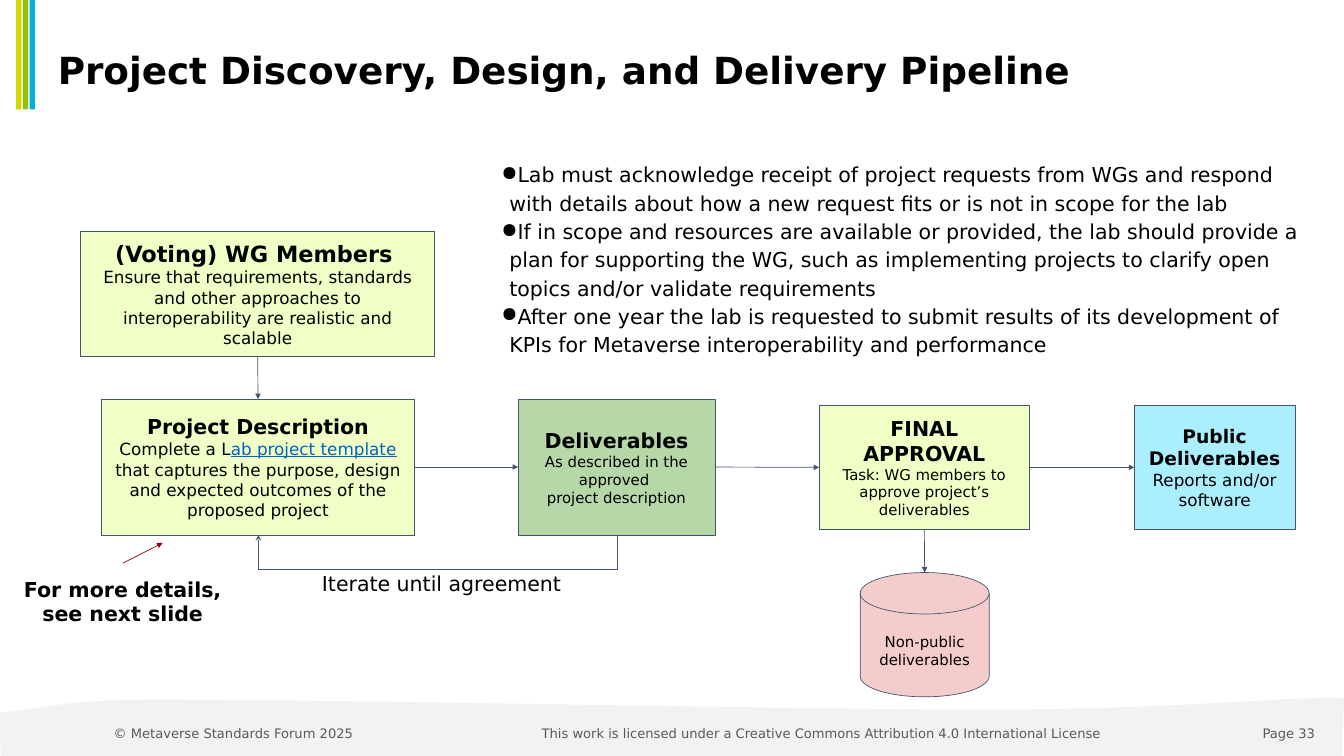
"""Build the project discovery, design and delivery pipeline slide."""
from lxml.etree import SubElement
from pptx import Presentation
from pptx.dml.color import RGBColor
from pptx.enum.shapes import MSO_CONNECTOR as Connector, MSO_SHAPE as Shape
from pptx.enum.text import MSO_ANCHOR as Anchor, PP_ALIGN as Align
from pptx.oxml.ns import qn
from pptx.util import Inches, Pt

FONT = "DejaVu Sans"
BLACK = RGBColor(0x00, 0x00, 0x00)
GRAY = RGBColor(0x59, 0x59, 0x59)
PALE_GRAY = RGBColor(0xF2, 0xF2, 0xF2)
SLATE = RGBColor(0x44, 0x54, 0x6A)
LIME = RGBColor(0xF0, 0xFF, 0xC5)
GREEN = RGBColor(0xB6, 0xD7, 0xA8)
PINK = RGBColor(0xF4, 0xCC, 0xCC)
CYAN = RGBColor(0xAB, 0xEF, 0xFF)
LINK_BLUE = RGBColor(0x05, 0x63, 0xC1)
DARK_RED = RGBColor(0x99, 0x00, 0x00)
STRIPES = [RGBColor(0xD4, 0xD8, 0x00), RGBColor(0x91, 0xC3, 0x01), RGBColor(0x00, 0xB1, 0xDA)]

WAVE_START = (-0.01, 10.61)
WAVE_CURVES = [
    ((1.03, 10.48), (0.72, 10.48), (1.66, 10.42)),
    ((2.59, 10.36), (11.65, 10.56), (14.71, 10.56)),
    ((17.77, 10.55), (19.01, 10.36), (20, 10.39)),
]
WAVE_BASE = [(19.97, 11.25), (0.01, 11.25)]

PLAIN_TEXTS = [
    ((1.54, 10.72, 5.29, 0.39), (0.15, 0.07), Anchor.MIDDLE, Align.LEFT,
     "© Metaverse Standards Forum 2025", {"size": Pt(14), "color": GRAY}),
    ((7.01, 10.72, 10.43, 0.39), (0.15, 0.07), Anchor.MIDDLE, Align.CENTER,
     "This work is licensed under a Creative Commons Attribution 4.0 International License",
     {"size": Pt(14), "color": GRAY}),
    ((18.07, 10.7, 1.7, 0.44), (0.2, 0.1), Anchor.TOP, Align.RIGHT,
     "Page 33", {"size": Pt(14), "color": GRAY}),
    ((0.66, 0.63, 18.3, 0.81), (0.2, 0.1), Anchor.MIDDLE, Align.LEFT,
     "Project Discovery, Design, and Delivery Pipeline", {"size": Pt(40), "bold": True}),
    ((0, 8.38, 3.65, 1.14), (0.2, 0.2), Anchor.TOP, Align.CENTER,
     "For more details, see next slide", {"size": Pt(22), "bold": True}),
    ((4.24, 8.31, 4.66, 0.77), (0.2, 0.2), Anchor.TOP, Align.CENTER,
     "Iterate until agreement", {"size": Pt(22)}),
]
BULLETS = [
    "Lab must acknowledge receipt of project requests from WGs and respond with details about "
    "how a new request fits or is not in scope for the lab",
    "If in scope and resources are available or provided, the lab should provide a plan for "
    "supporting the WG, such as implementing projects to clarify open topics and/or validate "
    "requirements",
    "After one year the lab is requested to submit results of its development of KPIs for "
    "Metaverse interoperability and performance",
]
LINK = {"color": LINK_BLUE, "underline": True}
STEPS = {
    "members": ((1.2, 3.45, 5.27, 1.85), LIME, "(Voting) WG Members ", 24, 18, [
        ("Ensure that requirements, standards and other approaches to interoperability are "
         "realistic and scalable", {})]),
    "description": ((1.51, 5.94, 4.66, 2.02), LIME, "Project Description", 22, 18, [
        ("Complete a L", {}), ("ab project template", LINK),
        (" that captures the purpose, design and expected outcomes of the proposed project", {})]),
    "deliverables": ((7.71, 5.94, 2.93, 2.02), GREEN, "Deliverables", 22, 16, [
        ("As described in the approved \vproject description", {})]),
    "approval": ((12.19, 6.03, 3.13, 1.85), LIME, "FINAL APPROVAL", 22, 16, [
        ("Task: WG members to approve project’s deliverables", {})]),
    "public": ((16.88, 6.03, 2.39, 1.85), CYAN, "Public Deliverables", 20, 18, [
        ("Reports and/or software", {})]),
}
TOP, LEFT, BOTTOM, RIGHT = range(4)
FLOWS = [
    ("members", BOTTOM, "description", TOP),
    ("description", RIGHT, "deliverables", LEFT),
    ("deliverables", RIGHT, "approval", LEFT),
    ("approval", RIGHT, "public", LEFT),
]


def add_runs(paragraph, text, **formats):
    for index, line in enumerate(text.split("\v")):
        if index:
            paragraph.add_line_break()
        run = paragraph.add_run()
        run.text = line
        values = {"name": FONT, "color": BLACK} | formats
        run.font.color.rgb = values.pop("color")
        for name, value in values.items():
            setattr(run.font, name, value)


def set_frame(shape, margins, anchor):
    side, edge = map(Inches, margins)
    values = {"margin_left": side, "margin_right": side, "margin_top": edge,
              "margin_bottom": edge, "word_wrap": True, "vertical_anchor": anchor}
    for name, value in values.items():
        setattr(shape.text_frame, name, value)
    return shape.text_frame


def add_filled(slide, kind, box, fill, outline=None):
    shape = slide.shapes.add_shape(kind, *map(Inches, box))
    style(shape, fill, outline)
    return shape


def style(shape, fill, outline=None):
    shape.shadow.inherit = False
    shape.fill.solid()
    shape.fill.fore_color.rgb = fill
    if outline is None:
        shape.line.fill.background()
    else:
        shape.line.color.rgb = outline
        shape.line.width = Pt(0.75)


def add_arrow(slide, start=(0, 0), end=(0, 0), color=SLATE, kind=Connector.STRAIGHT, head="triangle"):
    connector = slide.shapes.add_connector(kind, *map(Inches, start + end))
    connector.line.color.rgb = color
    connector.line.width = Pt(0.75)
    SubElement(connector.line._get_or_add_ln(), qn("a:tailEnd"), type=head)
    SubElement(connector._element.spPr, qn("a:effectLst"))
    return connector


def add_wave(slide, samples=24):
    points, start = [], WAVE_START
    for first, second, end in WAVE_CURVES:
        for step in range(1, samples + 1):
            t = step / samples
            weights = ((1 - t) ** 3, 3 * t * (1 - t) ** 2, 3 * t * t * (1 - t), t ** 3)
            points.append(tuple(sum(w * p[axis] for w, p in zip(weights, (start, first, second, end)))
                                for axis in (0, 1)))
        start = end
    builder = slide.shapes.build_freeform(*map(Inches, WAVE_START), scale=1.0)
    builder.add_line_segments([tuple(map(Inches, point)) for point in points + WAVE_BASE])
    style(builder.convert_to_shape(), PALE_GRAY)


def add_step(slide, box, fill, heading, heading_size, body_size, body):
    shape = add_filled(slide, Shape.RECTANGLE, box, fill, SLATE)
    frame = set_frame(shape, (0.2, 0.2), Anchor.MIDDLE)
    title, detail = frame.paragraphs[0], frame.add_paragraph()
    title.alignment = detail.alignment = Align.CENTER
    add_runs(title, heading, size=Pt(heading_size), bold=True)
    for text, formats in body:
        add_runs(detail, text, size=Pt(body_size), **formats)
    return shape


def add_bullets(slide):
    shape = slide.shapes.add_textbox(*map(Inches, (7.26, 2.16, 12.28, 3.01)))
    frame = set_frame(shape, (0.2, 0.2), Anchor.TOP)
    for index, text in enumerate(BULLETS):
        paragraph = frame.add_paragraph() if index else frame.paragraphs[0]
        paragraph.line_spacing = 1.15
        properties = paragraph._p.get_or_add_pPr()
        properties.set("marL", str(Inches(0.12)))
        properties.set("indent", str(Inches(-0.4)))
        SubElement(properties, qn("a:buChar"), char="●")
        add_runs(paragraph, text, size=Pt(22))


def add_feedback_loop(slide):
    loop = add_arrow(slide, (6.51, 5.29), (6.52, 10.63), kind=Connector.ELBOW, head="stealth")
    properties = loop._element.spPr
    properties.find(qn("a:xfrm")).set("rot", str(90 * 60000))
    guides = properties.find(qn("a:prstGeom")).find(qn("a:avLst"))
    SubElement(guides, qn("a:gd"), name="adj1", fmla="val 5200000")


def main():
    presentation = Presentation()
    presentation.slide_width, presentation.slide_height = Inches(20), Inches(11.25)
    slide = presentation.slides.add_slide(presentation.slide_layouts[6])
    add_wave(slide)
    for index, color in enumerate(STRIPES):
        add_filled(slide, Shape.RECTANGLE, (0.24 + 0.1 * index, 0, 0.08, 1.63), color)
    for box, margins, anchor, alignment, text, formats in PLAIN_TEXTS:
        frame = set_frame(slide.shapes.add_textbox(*map(Inches, box)), margins, anchor)
        frame.paragraphs[0].alignment = alignment
        add_runs(frame.paragraphs[0], text, **formats)
    add_bullets(slide)

    steps = {name: add_step(slide, *content) for name, content in STEPS.items()}
    disk = add_filled(slide, Shape.FLOWCHART_MAGNETIC_DISK, (12.8, 8.52, 1.92, 1.85), PINK, SLATE)
    frame = set_frame(disk, (0.2, 0.2), Anchor.MIDDLE)
    frame.margin_top = Inches(0.36)
    frame.paragraphs[0].alignment = Align.CENTER
    add_runs(frame.paragraphs[0], "Non-public deliverables", size=Pt(16))

    for source, source_side, target, target_side in FLOWS:
        arrow = add_arrow(slide)
        arrow.begin_connect(steps[source], source_side)
        arrow.end_connect(steps[target], target_side)
    archive = add_arrow(slide, (13.76, 7.88), (13.76, 8.52))
    archive.begin_connect(steps["approval"], BOTTOM)
    add_arrow(slide, (1.83, 8.38), (2.42, 8.08), DARK_RED)
    add_feedback_loop(slide)
    presentation.save("out.pptx")


if __name__ == "__main__":
    main()
